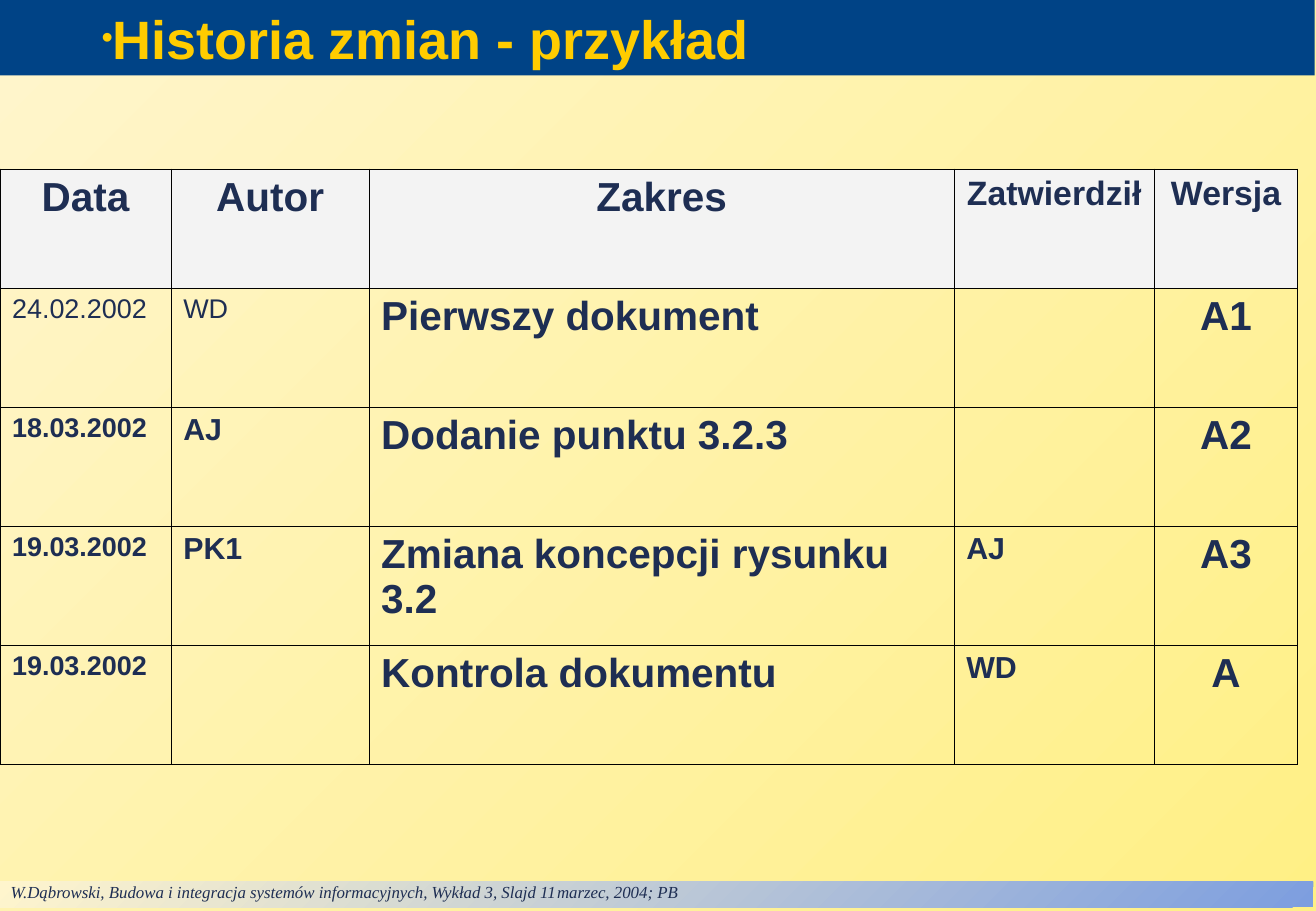
from dataclasses import dataclass

import pptx
import pptx.dml.color
import pptx.enum.shapes
import pptx.enum.text
import pptx.oxml
import pptx.oxml.ns
import pptx.util

EMU_PER_PX = 9144
NAVY = "1E2E53"
GOLD = "FFCC00"
CREAM = "FFF5CD"
ALIGN = pptx.enum.text.PP_ALIGN
ANCHOR = pptx.enum.text.MSO_ANCHOR
NAMESPACE = pptx.oxml.ns.nsdecls("a")


@dataclass
class Style:
    size: int
    bold: bool = True
    italic: bool = False
    font: str = "Arial"
    color: str = NAVY
    align: ALIGN = ALIGN.LEFT


@dataclass
class Bar:
    left: int
    top: int
    width: int
    height: int
    text: str
    style: Style
    fills: tuple[str, ...]
    margins: tuple[int, int, int, int]
    anchor: ANCHOR
    paragraph_marks: tuple[str, ...]
    margin_left: int = 0
    indent: int = 0


@dataclass
class Entry:
    text: str
    style: Style


def px(length: int) -> pptx.util.Emu:
    return pptx.util.Emu(length * EMU_PER_PX)


def rgb(color: str) -> pptx.dml.color.RGBColor:
    return pptx.dml.color.RGBColor.from_string(color)


def paint(fill, colors: tuple[str, ...]) -> None:
    if not colors:
        fill.background()
    elif len(colors) == 1:
        fill.solid()
        fill.fore_color.rgb = rgb(colors[0])
    else:
        fill.gradient()
        fill.gradient_angle = 135
        for stop, color in zip(fill.gradient_stops, colors):
            stop.color.rgb = rgb(color)


def write(para, text: str, style: Style) -> None:
    para.alignment = style.align
    span = para.add_run()
    span.text = text
    span.font.name = style.font
    span.font.size = pptx.util.Pt(style.size)
    span.font.bold = style.bold
    span.font.italic = style.italic
    span.font.color.rgb = rgb(style.color)


def draw_bar(page, bar: Bar) -> None:
    box = page.shapes.add_shape(
        pptx.enum.shapes.MSO_SHAPE.RECTANGLE,
        px(bar.left), px(bar.top), px(bar.width), px(bar.height),
    )
    box.shadow.inherit = False
    box.line.fill.background()
    paint(box.fill, bar.fills)
    frame = box.text_frame
    frame.word_wrap = True
    frame.vertical_anchor = bar.anchor
    frame.margin_left, frame.margin_top, frame.margin_right, frame.margin_bottom = map(px, bar.margins)
    para = frame.paragraphs[0]
    properties = para._p.get_or_add_pPr()
    properties.set("marL", str(px(bar.margin_left)))
    properties.set("indent", str(px(bar.indent)))
    for mark in bar.paragraph_marks:
        properties.append(pptx.oxml.parse_xml(mark))
    write(para, bar.text, bar.style)


def add_borders(cell) -> None:
    properties = cell._tc.get_or_add_tcPr()
    for position, side in enumerate(("lnL", "lnR", "lnT", "lnB")):
        border = pptx.oxml.parse_xml(
            f'<a:{side} {NAMESPACE} w="{pptx.util.Pt(0.45)}">'
            f'<a:solidFill><a:srgbClr val="000000"/></a:solidFill></a:{side}>'
        )
        properties.insert(position, border)


def draw_table(page, left: int, top: int, widths: list[int], row_height: int,
               rows: list[list[Entry | None]]) -> None:
    table = page.shapes.add_table(
        len(rows), len(widths), px(left), px(top), px(sum(widths)), px(row_height * len(rows))
    ).table
    table.first_row = False
    table.horz_banding = False
    for column, width in zip(table.columns, widths):
        column.width = px(width)
    for row_index, entries in enumerate(rows):
        table.rows[row_index].height = px(row_height)
        for column_index, entry in enumerate(entries):
            cell = table.cell(row_index, column_index)
            cell.margin_left = cell.margin_right = px(10)
            cell.margin_top = cell.margin_bottom = px(5)
            paint(cell.fill, ("F3F3F3",) if row_index == 0 else ())
            add_borders(cell)
            if entry:
                write(cell.text_frame.paragraphs[0], entry.text, entry.style)


HEADING = Style(24, align=ALIGN.CENTER)
SMALL_HEADING = Style(20, align=ALIGN.CENTER)
FIRST_ENTRY = Style(16, bold=False, align=ALIGN.JUSTIFY)
DATE = Style(16)
PERSON = Style(18)
SCOPE = Style(24)
FIRST_SCOPE = Style(24, align=ALIGN.JUSTIFY)
VERSION = HEADING

FOOTER = Bar(
    -1, 726, 1083, 21,
    "W.Dąbrowski, Budowa i integracja systemów informacyjnych, Wykład 3, Slajd 11\tmarzec, 2004; PB",
    Style(10, bold=False, italic=True, font="Times New Roman"),
    ("7D9EDF", CREAM), (10, 0, 10, 4), ANCHOR.TOP,
    (f'<a:tabLst {NAMESPACE}><a:tab pos="{px(886)}" algn="l"/></a:tabLst>',),
)
TITLE = Bar(
    0, 0, 1083, 62, "Historia zmian - przykład", Style(32, color=GOLD),
    ("004386",), (10, 5, 10, 5), ANCHOR.MIDDLE,
    (
        f'<a:buClr {NAMESPACE}><a:srgbClr val="{GOLD}"/></a:buClr>',
        f'<a:buSzPct {NAMESPACE} val="60000"/>',
        f'<a:buFont {NAMESPACE} typeface="Arial"/>',
        f'<a:buChar {NAMESPACE} char="•"/>',
    ),
    margin_left=83, indent=-9,
)
HISTORY = [
    [Entry("Data", HEADING), Entry("Autor", HEADING), Entry("Zakres", HEADING),
     Entry("Zatwierdził", SMALL_HEADING), Entry("Wersja", SMALL_HEADING)],
    [Entry("24.02.2002", FIRST_ENTRY), Entry("WD", FIRST_ENTRY),
     Entry("Pierwszy dokument", FIRST_SCOPE), None, Entry("A1", VERSION)],
    [Entry("18.03.2002", DATE), Entry("AJ", PERSON),
     Entry("Dodanie punktu 3.2.3", SCOPE), None, Entry("A2", VERSION)],
    [Entry("19.03.2002", DATE), Entry("PK1", PERSON),
     Entry("Zmiana koncepcji rysunku 3.2", SCOPE), Entry("AJ", PERSON), Entry("A3", VERSION)],
    [Entry("19.03.2002", DATE), None,
     Entry("Kontrola dokumentu", SCOPE), Entry("WD", PERSON), Entry("A", VERSION)],
]


def main() -> None:
    deck = pptx.Presentation()
    deck.slide_width = px(1084)
    deck.slide_height = px(750)
    page = deck.slides.add_slide(deck.slide_layouts[6])
    paint(page.background.fill, ("FFF085", CREAM))
    for bar in (FOOTER, TITLE):
        draw_bar(page, bar)
    draw_table(page, 0, 139, [141, 163, 482, 165, 118], 98, HISTORY)
    deck.save("out.pptx")


if __name__ == "__main__":
    main()
